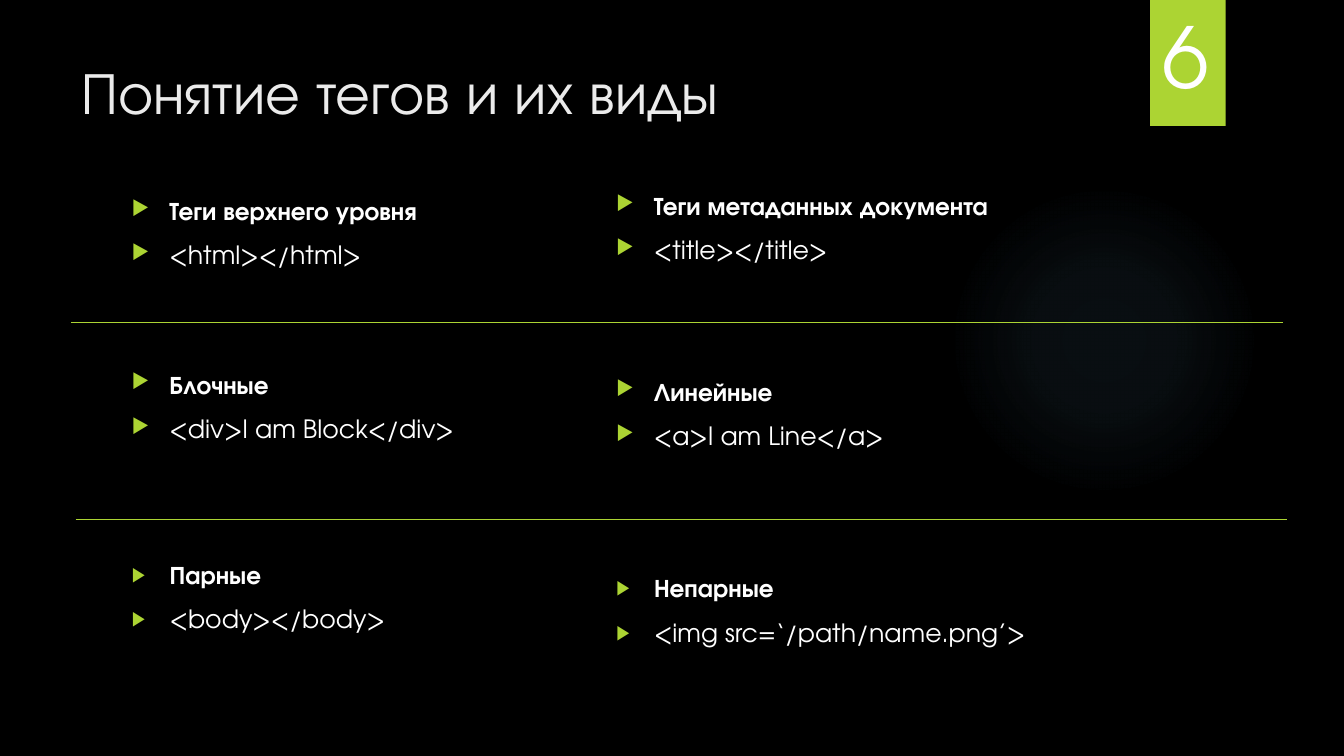
"""Build a slide that lists the kinds of HTML tags in a grid of pairs."""
from lxml import etree
from pptx import Presentation
from pptx.dml.color import RGBColor
from pptx.enum import shapes, text
from pptx.oxml import ns
from pptx.util import Pt

TITLE = "Понятие тегов и их виды"
NUMBER = "6"
TAGS = [
    [("Теги верхнего уровня", "<html></html>", 136),
     ("Теги метаданных документа", "<title></title>", 132.5)],
    [("Блочные", "<div>I am Block</div>", 260),
     ("Линейные", "<a>I am Line</a>", 265)],
    [("Парные", "<body></body>", 396),
     ("Непарные", "<img src=‘/path/name.png’>", 405.5)],
]
DIVIDERS = [(51, 230.5), (54, 371)]
GLOW_STOPS = [(0, 7), (36, 6), (69, 0)]

FONT = "TeX Gyre Adventor"
BLACK = RGBColor(0x00, 0x00, 0x00)
WHITE = RGBColor(0xFF, 0xFF, 0xFF)
PALE = RGBColor(0xEB, 0xEB, 0xEB)
LIME = RGBColor(0xAC, 0xD4, 0x33)
SKY = RGBColor(0x7A, 0xC4, 0xF0)

COLUMN_LEFT, COLUMN_WIDTH, ENTRY_HEIGHT = 87, 346, 66
DIVIDER_WIDTH = 865.5
BULLET_INDENT = 27


def add_child(parent, tag, **attributes):
    child = etree.SubElement(parent, ns.qn(tag))
    for name, value in attributes.items():
        child.set(name, str(value))
    return child


def add_bullet(para):
    properties = para._p.get_or_add_pPr()
    properties.set("marL", str(Pt(BULLET_INDENT)))
    properties.set("indent", str(-Pt(BULLET_INDENT)))
    add_child(add_child(properties, "a:buClr"), "a:srgbClr", val=LIME)
    add_child(properties, "a:buSzPct", val=80000)
    add_child(properties, "a:buChar", char="▶")


def add_text(para, words, size=18, color=WHITE, bold=False, bullet=False):
    para.alignment = text.PP_ALIGN.LEFT
    para.space_before = Pt(10 if bullet else 0)
    if bullet:
        add_bullet(para)
    span = para.add_run()
    span.text = words
    span.font.name = FONT
    span.font.size = Pt(size)
    span.font.bold = bold
    span.font.color.rgb = color


def place(box, left, top, width, height):
    box.left, box.top, box.width, box.height = map(Pt, (left, top, width, height))
    frame = box.text_frame
    frame.word_wrap = True
    frame.auto_size = text.MSO_AUTO_SIZE.NONE
    frame.vertical_anchor = text.MSO_ANCHOR.TOP
    return frame


def add_plain_shape(page, kind, color, *bounds):
    shape = page.shapes.add_shape(kind, *map(Pt, bounds))
    shape.shadow.inherit = False
    shape.fill.solid()
    shape.fill.fore_color.rgb = color
    shape.line.fill.background()
    return shape


def add_glow(page):
    glow = add_plain_shape(page, shapes.MSO_SHAPE.OVAL, SKY, 677.5, 132, 222, 222)
    solid = glow._element.spPr.find(ns.qn("a:solidFill"))
    gradient = etree.Element(ns.qn("a:gradFill"), rotWithShape="1")
    stops = add_child(gradient, "a:gsLst")
    for position, opacity in GLOW_STOPS:
        stop = add_child(stops, "a:gs", pos=position * 1000)
        color = add_child(stop, "a:srgbClr", val=SKY)
        add_child(color, "a:alpha", val=opacity * 1000)
    circle = add_child(gradient, "a:path", path="circle")
    add_child(circle, "a:fillToRect", l=50000, t=50000, r=50000, b=50000)
    solid.getparent().replace(solid, gradient)


def add_divider(page, left, top):
    line = page.shapes.add_connector(
        shapes.MSO_CONNECTOR.STRAIGHT, Pt(left), Pt(top), Pt(left + DIVIDER_WIDTH), Pt(top))
    line.line.color.rgb = LIME
    line.line.width = Pt(0.75)
    add_child(line._element.spPr, "a:effectLst")


def main():
    deck = Presentation()
    deck.slide_width, deck.slide_height = Pt(960), Pt(540)
    page = deck.slides.add_slide(deck.slide_layouts.get_by_name("Two Content"))
    page.background.fill.solid()
    page.background.fill.fore_color.rgb = BLACK

    add_glow(page)
    add_plain_shape(page, shapes.MSO_SHAPE.RECTANGLE, LIME, 821.5, 0, 54, 90)

    title = place(page.shapes.title, 51, 36, 741, 110)
    add_text(title.paragraphs[0], TITLE, size=42, color=PALE)

    for row in TAGS:
        for column, (heading, example, top) in enumerate(row):
            if row is TAGS[-1]:
                box = page.placeholders[column + 1]
            else:
                box = page.shapes.add_textbox(0, 0, 0, 0)
            left = COLUMN_LEFT + column * COLUMN_WIDTH
            frame = place(box, left, top, COLUMN_WIDTH, ENTRY_HEIGHT)
            add_text(frame.paragraphs[0], heading, bold=True, bullet=True)
            add_text(frame.add_paragraph(), example, bullet=True)

    for left, top in DIVIDERS:
        add_divider(page, left, top)

    number = place(page.shapes.add_textbox(0, 0, 0, 0), 823.5, 0, 65.5, 80)
    add_text(number.paragraphs[0], NUMBER, size=60)

    deck.save("out.pptx")


if __name__ == "__main__":
    main()
